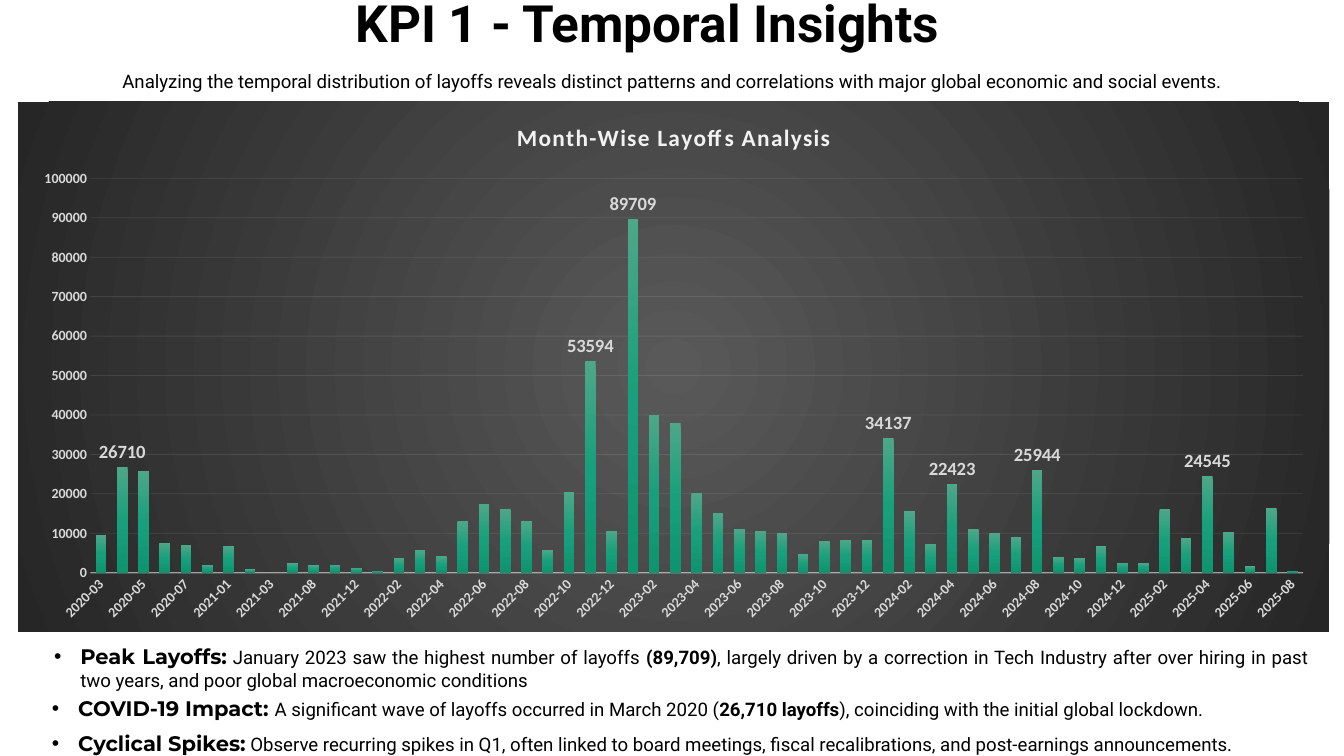
from lxml.etree import SubElement as Sub, fromstring as parse_xml
from pptx import Presentation
from pptx.chart.data import CategoryChartData as Data
from pptx.dml.color import RGBColor as RGB
from pptx.enum.chart import XL_CHART_TYPE as Kind, XL_LABEL_POSITION as Spot, XL_TICK_MARK as Tick
from pptx.enum.text import PP_ALIGN as Align
from pptx.oxml.ns import qn
from pptx.util import Cm, Pt

C_NS = "http://schemas.openxmlformats.org/drawingml/2006/chart"
A_NS = "http://schemas.openxmlformats.org/drawingml/2006/main"
PALE = "D9D9D9"
NEAR_WHITE = "F2F2F2"

MONTHS = {
    2020: [3, 4, 5, 6, 7, 8],
    2021: [1, 2, 3, 6, 8, 11, 12],
    2022: range(1, 13),
    2023: range(1, 13),
    2024: range(1, 13),
    2025: range(1, 9),
}
LAYOFFS = [
    9628, 26710, 25804, 7627, 7112, 1969,
    6813, 868, 47, 2434, 1867, 2070, 1200,
    510, 3685, 5714, 4128, 12985, 17394, 16238, 13055, 5881, 20471, 53594, 10664,
    89709, 39902, 37963, 20100, 15127, 11206, 10690, 10178, 4672, 8076, 8373, 8189,
    34137, 15729, 7403, 22423, 11011, 10083, 9051, 25944, 4036, 3782, 6755, 2568,
    2492, 16234, 8834, 24545, 10397, 1606, 16292, 545,
]
PEAKS = [26710, 53594, 89709, 34137, 22423, 25944, 24545]


def color(code):
    return RGB.from_string(code)


def style(font, size, code, name="Calibri", bold=True):
    font.size, font.name, font.bold = Pt(size), name, bold
    font.color.rgb = color(code)


def write(slide, box, runs, align=Align.CENTER, line=None, inset=0, bullet=False):
    """Add one paragraph made of (text, size, font, bold) runs."""
    frame = slide.shapes.add_textbox(*map(Cm, box)).text_frame
    frame.word_wrap = True
    frame.margin_left = frame.margin_right = Cm(inset)
    frame.margin_top = frame.margin_bottom = Cm(inset / 2)
    para = frame.paragraphs[0]
    if bullet:
        props = para._p.get_or_add_pPr()
        props.set("marL", str(Cm(0.79)))
        props.set("indent", str(-Cm(0.79)))
        Sub(props, qn("a:buFont"), typeface="Arial")
        Sub(props, qn("a:buChar"), char="•")
    para.alignment = align
    if line:
        para.line_spacing = Pt(line)
    for text, size, name, bold in runs:
        run = para.add_run()
        run.text = text
        style(run.font, size, "000000", name, bold)


def header(slide, left, top, width):
    write(slide, (left + 8.2, top, 20, 1.09),
          [("KPI 1 - Temporal Insights", 44, "Roboto", True)], line=30.5)
    write(slide, (left, top + 1.71, width, 0.56),
          [("Analyzing the temporal distribution of layoffs reveals distinct patterns and "
            "correlations with major global economic and social events.", 16, "Roboto", False)],
          line=15.5)


def fill_grad(props, stops, shade):
    """Give shape properties a gradient of (percent, colour) stops."""
    marks = "".join(f'<a:gs pos="{pos * 1000}"><a:srgbClr val="{code}"/></a:gs>'
                    for pos, code in stops)
    props.insert(0, parse_xml(
        f'<a:gradFill xmlns:a="{A_NS}"><a:gsLst>{marks}</a:gsLst>{shade}</a:gradFill>'))


def fade(line, code, width, alpha):
    line.color.rgb = color(code)
    line.width = Pt(width)
    for clr in line._get_or_add_ln().iter(qn("a:srgbClr")):
        Sub(clr, qn("a:alpha"), val=str(alpha * 1000))


def place(x, y, w=None, h=None):
    """Return a manual chart layout in fractions of the chart."""
    size = f'<c:w val="{w}"/><c:h val="{h}"/>' if w else ""
    inner = '<c:layoutTarget val="inner"/>' if w else ""
    return parse_xml(
        f'<c:layout xmlns:c="{C_NS}"><c:manualLayout>{inner}<c:xMode val="edge"/>'
        f'<c:yMode val="edge"/><c:x val="{x}"/><c:y val="{y}"/>{size}'
        '</c:manualLayout></c:layout>')


def set_layout(node, layout, before):
    for old in node.findall(qn("c:layout")):
        node.remove(old)
    node.find(qn(before)).addprevious(layout)


def set_axes(chart):
    months, counts = chart.category_axis, chart.value_axis
    for axis in (months, counts):
        axis.major_tick_mark = axis.minor_tick_mark = Tick.NONE
        style(axis.tick_labels.font, 12, PALE)
    fade(months.format.line, NEAR_WHITE, 1, 54)
    months._element.find(qn("c:txPr")).find(qn("a:bodyPr")).set("rot", "-2700000")
    skip = parse_xml(f'<c:tickLblSkip xmlns:c="{C_NS}" val="2"/>')
    months._element.find(qn("c:noMultiLvlLbl")).addprevious(skip)
    counts.minimum_scale, counts.maximum_scale, counts.major_unit = 0, 100000, 10000
    counts.format.line.fill.background()
    fade(counts.major_gridlines.format.line, NEAR_WHITE, 0.75, 10)


def layoff_chart(slide, *box):
    data = Data()
    data.categories = [f"{year}-{month:02}" for year, row in MONTHS.items() for month in row]
    data.add_series("Series 1", LAYOFFS)
    chart = slide.shapes.add_chart(Kind.COLUMN_CLUSTERED, *map(Cm, box), data).chart
    style(chart.font, 10, "000000")
    chart.has_legend = False

    space = chart._chartSpace
    back = parse_xml(f'<c:spPr xmlns:c="{C_NS}" xmlns:a="{A_NS}"><a:ln><a:noFill/></a:ln></c:spPr>')
    fill_grad(back, [(0, "595959"), (100, "262626")],
              '<a:path path="circle"><a:fillToRect l="50000" t="50000" r="50000" b="50000"/></a:path>')
    space.find(qn("c:chart")).addnext(back)

    chart.has_title = True
    title = chart.chart_title
    run = title.text_frame.paragraphs[0].add_run()
    run.text = "Month-Wise Layoffs Analysis"
    style(run.font, 20, NEAR_WHITE)
    run._r.get_or_add_rPr().set("spc", "100")
    title.include_in_layout = False
    set_layout(title._element, place(0.377, 0.029), "c:overlay")
    area = space.find(qn("c:chart")).find(qn("c:plotArea"))
    set_layout(area, place(0.055, 0.145, 0.925, 0.744), "c:barChart")

    plot = chart.plots[0]
    plot.vary_by_categories = False
    plot.gap_width, plot.overlap = 100, -24
    bars = plot.series[0]
    fill_grad(bars._element.get_or_add_spPr(),
              [(0, "4EA788"), (50, "17A07B"), (100, "0F9470")], '<a:lin ang="5400000" scaled="0"/>')
    bars.data_labels.show_value = False
    for peak in PEAKS:
        label = bars.points[LAYOFFS.index(peak)].data_label
        style(label.font, 16, PALE)
        label.position = Spot.OUTSIDE_END
    set_axes(chart)


def findings(slide, left, top, width):
    def head(text):
        return text, 18, "Montserrat", True

    def body(text, bold=False):
        return text, 16, "Roboto", bold

    look = dict(align=Align.JUSTIFY, bullet=True)
    write(slide, (left, top, width, 2.39), [
        head("Peak Layoffs:"),
        body(" January 2023 saw the highest number of layoffs "),
        body("(89,709)", True),
        body(", largely driven by a correction in Tech Industry after over hiring in past "
             "two years, and poor global macroeconomic conditions"),
    ], inset=0.25, **look)
    notes = [
        [head("COVID-19 Impact: "),
         body("A significant wave of layoffs occurred in March 2020 ("),
         body("26,710 layoffs", True),
         body("), coinciding with the initial global lockdown.")],
        [head("Cyclical Spikes:"),
         body(" Observe recurring spikes in Q1, often linked to board meetings, "
              "fiscal recalibrations, and post-earnings announcements.")],
    ]
    for row, runs in enumerate(notes):
        write(slide, (left + 0.18, top + 1.93 + row * 1.04, width - 0.56, 0.56),
              runs, line=15.5, **look)


def main():
    deck = Presentation()
    deck.slide_width, deck.slide_height = Cm(40.64), Cm(22.86)
    slide = deck.slides.add_slide(deck.slide_layouts[6])
    header(slide, 1.39, 0.53, 37.87)
    layoff_chart(slide, 0.55, 3.07, 39.65, 16.03)
    findings(slide, 1.39, 19.33, 38.43)
    deck.save("out.pptx")


if __name__ == "__main__":
    main()
